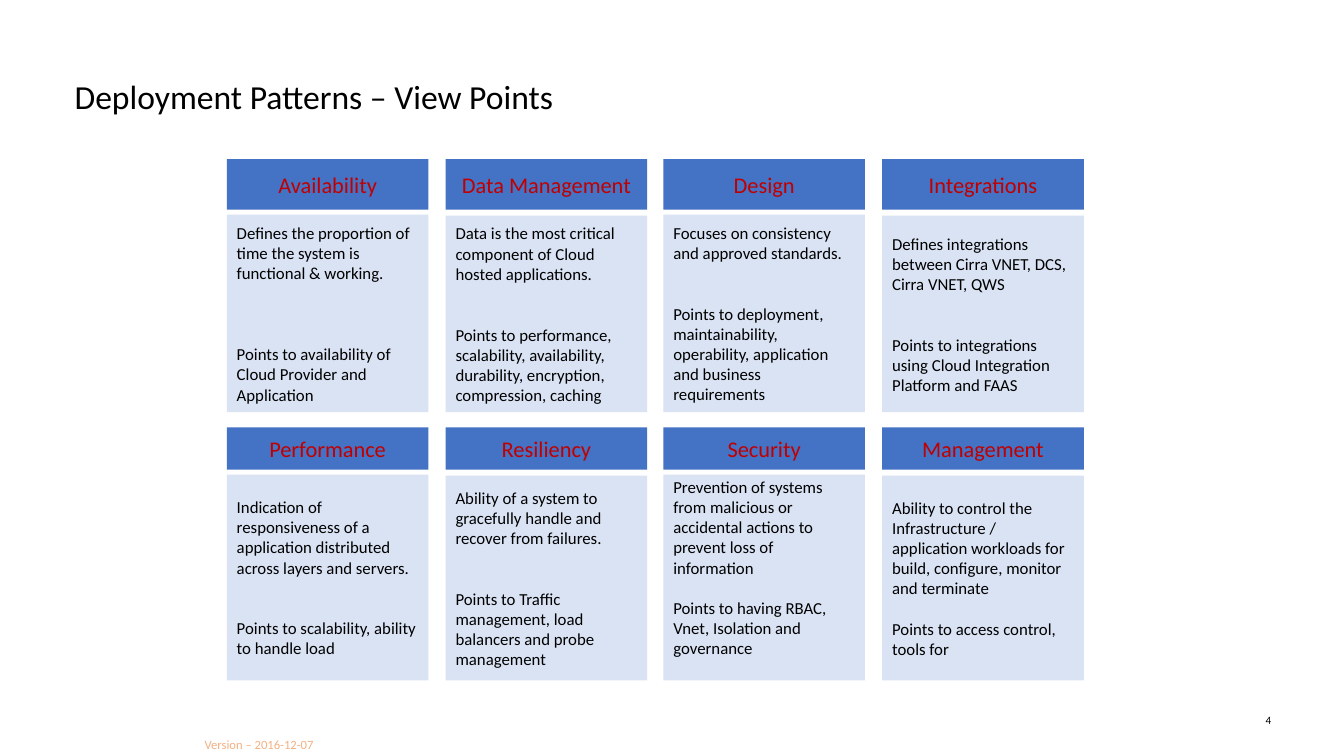
from dataclasses import dataclass

from pptx import Presentation
from pptx.dml.color import RGBColor
from pptx.enum import shapes, text
from pptx.shapes.autoshape import Shape
from pptx.slide import Slide
from pptx.text.text import TextFrame
from pptx.util import Emu, Pt

PX = 9144  # EMU per px, 100 px to the inch
FONT = "Calibri"
BLACK = RGBColor(0x00, 0x00, 0x00)
RED = RGBColor(0xC0, 0x00, 0x00)
BLUE = RGBColor(0x44, 0x72, 0xC4)
PALE_BLUE = RGBColor(0xDA, 0xE3, 0xF3)
ORANGE = RGBColor(0xF4, 0xB1, 0x83)

LEFT, SPAN, COLUMNS, CARD_WIDTH = 225, 650, 4, 200
LINE_PT = 14.5  # height of one line of card text
INSET = 5


@dataclass(frozen=True)
class ViewPoint:
    name: str
    meaning: str
    points_to: str
    gap_lines: int = 2
    lift: int = 0  # extra px kept free under the text


@dataclass(frozen=True)
class Row:
    head_top: int
    head_height: int
    body_top: int
    bottom: int
    view_points: tuple[ViewPoint, ...]


ROWS = (
    Row(158, 50, 213, 409, (
        ViewPoint("Availability",
                  "Defines the proportion of time the system is functional & working.",
                  "Points to availability of Cloud Provider and Application", gap_lines=3),
        ViewPoint("Data Management",
                  "Data is the most critical component of Cloud hosted applications.",
                  "Points to performance, scalability, availability, durability, "
                  "encryption, compression, caching"),
        ViewPoint("Design",
                  "Focuses on consistency and approved standards.",
                  "Points to deployment, maintainability, operability, application "
                  "and business requirements"),
        ViewPoint("Integrations",
                  "Defines integrations between Cirra VNET, DCS, Cirra VNET, QWS",
                  "Points to integrations using Cloud Integration Platform and FAAS"),
    )),
    Row(424, 42, 471, 675, (
        ViewPoint("Performance",
                  "Indication of responsiveness of a application distributed across "
                  "layers and servers.",
                  "Points to scalability, ability to handle load"),
        ViewPoint("Resiliency",
                  "Ability of a system to gracefully handle and recover from failures.",
                  "Points to Traffic management, load balancers and probe management"),
        ViewPoint("Security",
                  "Prevention of systems from malicious or accidental actions to "
                  "prevent loss of information",
                  "Points to having RBAC, Vnet, Isolation and governance",
                  gap_lines=1, lift=20),
        ViewPoint("Management",
                  "Ability to control the Infrastructure / application workloads for "
                  "build, configure, monitor and terminate",
                  "Points to access control, tools for", gap_lines=1),
    )),
)


def px(length: int) -> Emu:
    return Emu(length * PX)


def write(frame: TextFrame, *lines: str, size: int, color: RGBColor = BLACK,
          align: text.PP_ALIGN = text.PP_ALIGN.LEFT,
          anchor: text.MSO_ANCHOR = text.MSO_ANCHOR.TOP,
          side: int = 0, top: int = 0, bottom: int = 0,
          line_spacing: float = 1.0, gap: float = 0) -> None:
    """Fill a frame with paragraphs, gap points apart."""
    frame.word_wrap = True
    frame.auto_size = text.MSO_AUTO_SIZE.NONE
    frame.vertical_anchor = anchor
    frame.margin_left = frame.margin_right = px(side)
    frame.margin_top, frame.margin_bottom = px(top), px(bottom)
    for index, line in enumerate(lines):
        paragraph = frame.add_paragraph() if index else frame.paragraphs[0]
        paragraph.alignment = align
        paragraph.line_spacing = line_spacing
        paragraph.space_before = Pt(gap if index else 0)
        run = paragraph.add_run()
        run.text = line
        run.font.name, run.font.size = FONT, Pt(size)
        run.font.color.rgb = color


def add_panel(slide: Slide, left: int, top: int, height: int, fill: RGBColor) -> Shape:
    panel = slide.shapes.add_shape(shapes.MSO_SHAPE.RECTANGLE, px(left), px(top),
                                   px(CARD_WIDTH), px(height))
    panel.shadow.inherit = False
    panel.fill.solid()
    panel.fill.fore_color.rgb = fill
    panel.line.fill.background()
    return panel


def add_view_point(slide: Slide, row: Row, column: int, view_point: ViewPoint) -> None:
    left = LEFT + round(column * SPAN / (COLUMNS - 1))
    body_top = row.body_top + column % 2
    head = add_panel(slide, left, row.head_top, row.head_height, BLUE)
    write(head.text_frame, view_point.name, size=16, color=RED,
          align=text.PP_ALIGN.CENTER, anchor=text.MSO_ANCHOR.MIDDLE,
          side=10, top=INSET, bottom=INSET)
    body = add_panel(slide, left, body_top, row.bottom - body_top, PALE_BLUE)
    write(body.text_frame, view_point.meaning, view_point.points_to, size=12,
          anchor=text.MSO_ANCHOR.MIDDLE, side=10, top=INSET,
          bottom=INSET + view_point.lift, gap=view_point.gap_lines * LINE_PT)


def main() -> None:
    deck = Presentation()
    deck.slide_width, deck.slide_height = px(1333), px(750)
    slide = deck.slides.add_slide(deck.slide_layouts[5])

    # Title
    title = slide.shapes.title
    title.left, title.top, title.width, title.height = map(px, (74, 80, 1186, 83))
    write(title.text_frame, "Deployment Patterns – View Points", size=24, line_spacing=0.9)

    # View points
    for row in ROWS:
        for column, view_point in enumerate(row.view_points):
            add_view_point(slide, row, column, view_point)

    # Page number and version
    page = slide.shapes.add_textbox(*map(px, (1222, 708, 39, 26)))
    write(page.text_frame, "4", size=8, align=text.PP_ALIGN.RIGHT, bottom=INSET)
    version = slide.shapes.add_textbox(*map(px, (203, 725, 216, 19)))
    write(version.text_frame, "Version – 2016-12-07", size=9, color=ORANGE,
          line_spacing=1.4)

    deck.save("out.pptx")


if __name__ == "__main__":
    main()
